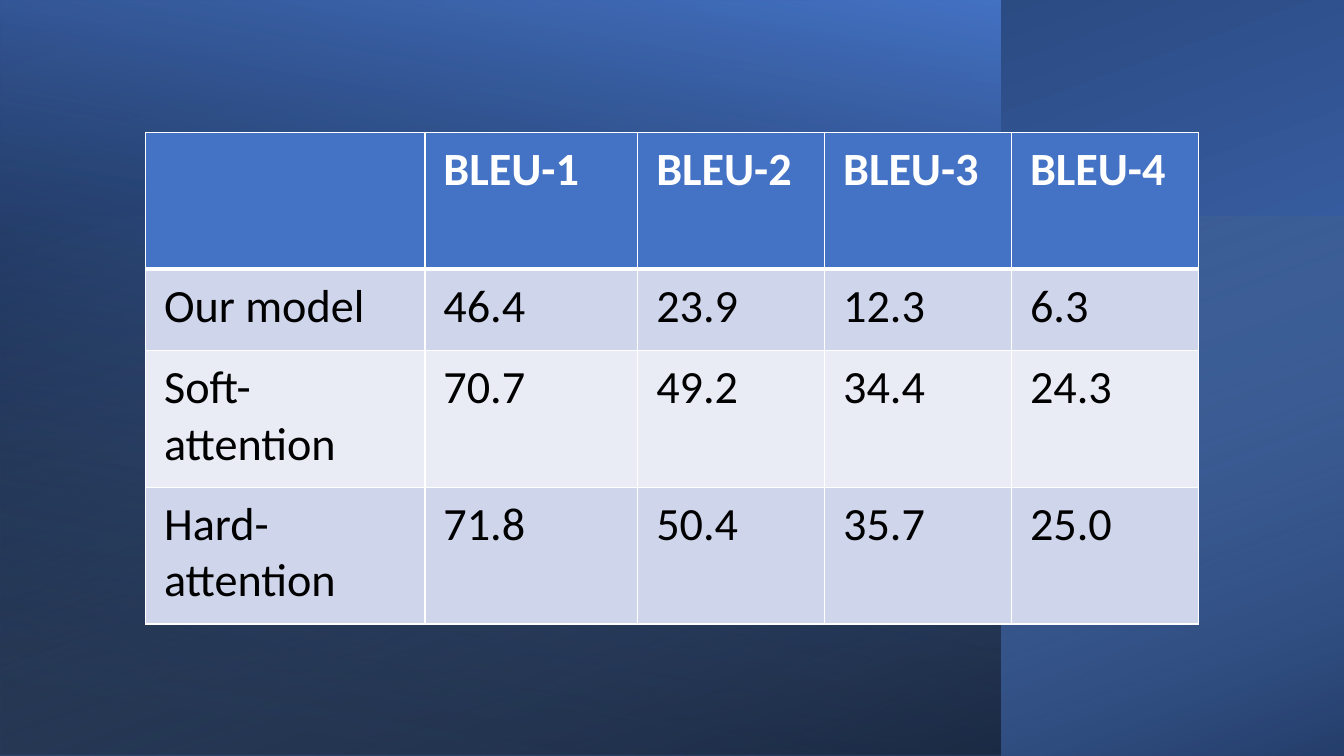
from typing import NamedTuple

from lxml import etree
from pptx import Presentation
from pptx import util as u
from pptx.dml.color import RGBColor
from pptx.enum import shapes
from pptx.oxml import parse_xml
from pptx.oxml.ns import nsdecls, qn

COLORS = {
    "blue": "4472C4", "navy": "203864", "sky": "9DC3E6", "black": "000000",
    "white": "FFFFFF", "band": "CFD5EA", "pale": "E9EBF5",
}
FONT = "Calibri"
SLIDE_W, SLIDE_H = 960, 540


class Stop(NamedTuple):
    position: int
    color: str
    opacity: int = 100


class Panel(NamedTuple):
    left: float
    top: float
    width: float
    height: float
    rotation: int
    angle: int
    stops: tuple[Stop, Stop]


PANELS = [
    Panel(210, -210, SLIDE_H, SLIDE_W, 270, 200,
          (Stop(8, "blue"), Stop(100, "navy"))),
    Panel(0, 0, 714.4, SLIDE_H, 180, 80,
          (Stop(8, "black", 52), Stop(100, "blue"))),
    Panel(287.4, -132.6, 385.2, SLIDE_W, 270, 20,
          (Stop(0, "sky", 0), Stop(100, "black", 46))),
]

SCORES = [
    ["", "BLEU-1", "BLEU-2", "BLEU-3", "BLEU-4"],
    ["Our model", "46.4", "23.9", "12.3", "6.3"],
    ["Soft-attention", "70.7", "49.2", "34.4", "24.3"],
    ["Hard-attention", "71.8", "50.4", "35.7", "25.0"],
]
TABLE_LEFT, TABLE_TOP = 104, 94.5
COLUMN_WIDTHS = [199.6, 152, 133.5, 133.5, 133.5]
ROW_HEIGHTS = [97.7, 58.2, 97.7, 97.7]


def rgb(color: str) -> RGBColor:
    return RGBColor.from_string(COLORS[color])


def draw_panel(slide, panel: Panel) -> None:
    """Draw a mirrored rectangle with a gradient that may be see-through."""
    box = slide.shapes.add_shape(
        shapes.MSO_SHAPE.RECTANGLE, u.Pt(panel.left), u.Pt(panel.top),
        u.Pt(panel.width), u.Pt(panel.height))
    box.rotation = panel.rotation
    box.shadow.inherit = False
    box.line.fill.background()
    box.fill.gradient()
    properties = box.element.spPr
    properties.find(qn("a:xfrm")).set("flipH", "1")
    stops = "".join(
        f'<a:gs pos="{stop.position * 1000}"><a:srgbClr val="{COLORS[stop.color]}">'
        f'<a:alpha val="{stop.opacity * 1000}"/></a:srgbClr></a:gs>'
        for stop in panel.stops)
    gradient = parse_xml(
        f'<a:gradFill {nsdecls("a")} rotWithShape="1"><a:gsLst>{stops}</a:gsLst>'
        f'<a:lin ang="{panel.angle * 60000}" scaled="0"/></a:gradFill>')
    properties.replace(properties.find(qn("a:gradFill")), gradient)


def write(frame, content: str, *, size: float, color: str, bold: bool) -> None:
    run = frame.paragraphs[0].add_run()
    run.text = content
    run.font.name = FONT
    run.font.size = u.Pt(size)
    run.font.bold = bold
    run.font.color.rgb = rgb(color)


def add_borders(cell, top: float, bottom: float) -> None:
    properties = cell._tc.get_or_add_tcPr()
    for side, width in {"L": 1, "R": 1, "T": top, "B": bottom}.items():
        line = etree.SubElement(properties, qn(f"a:ln{side}"), w=str(u.Pt(width)))
        fill = etree.SubElement(line, qn("a:solidFill"))
        etree.SubElement(fill, qn("a:srgbClr"), val=COLORS["white"])


def draw_scores(slide) -> None:
    scores = slide.shapes.add_table(
        len(SCORES), len(SCORES[0]), u.Pt(TABLE_LEFT), u.Pt(TABLE_TOP),
        u.Pt(sum(COLUMN_WIDTHS)), u.Pt(sum(ROW_HEIGHTS))).table
    scores.horz_banding = False
    for column, width in zip(scores.columns, COLUMN_WIDTHS):
        column.width = u.Pt(width)
    for row, height in zip(scores.rows, ROW_HEIGHTS):
        row.height = u.Pt(height)
    for r, entries in enumerate(SCORES):
        header = r == 0
        background = "blue" if header else "band" if r % 2 else "pale"
        for c, entry in enumerate(entries):
            cell = scores.cell(r, c)
            cell.margin_left = cell.margin_right = u.Pt(13.2)
            cell.margin_top = cell.margin_bottom = u.Pt(6.6)
            add_borders(cell, top=3 if r == 1 else 1, bottom=3 if header else 1)
            cell.fill.solid()
            cell.fill.fore_color.rgb = rgb(background)
            if entry:
                write(cell.text_frame, entry, size=33, bold=header,
                      color="white" if header else "black")


def main() -> None:
    deck = Presentation()
    deck.slide_width, deck.slide_height = u.Pt(SLIDE_W), u.Pt(SLIDE_H)
    slide = deck.slides.add_slide(deck.slide_layouts[6])
    for panel in PANELS:
        draw_panel(slide, panel)
    draw_scores(slide)
    deck.save("out.pptx")


if __name__ == "__main__":
    main()
